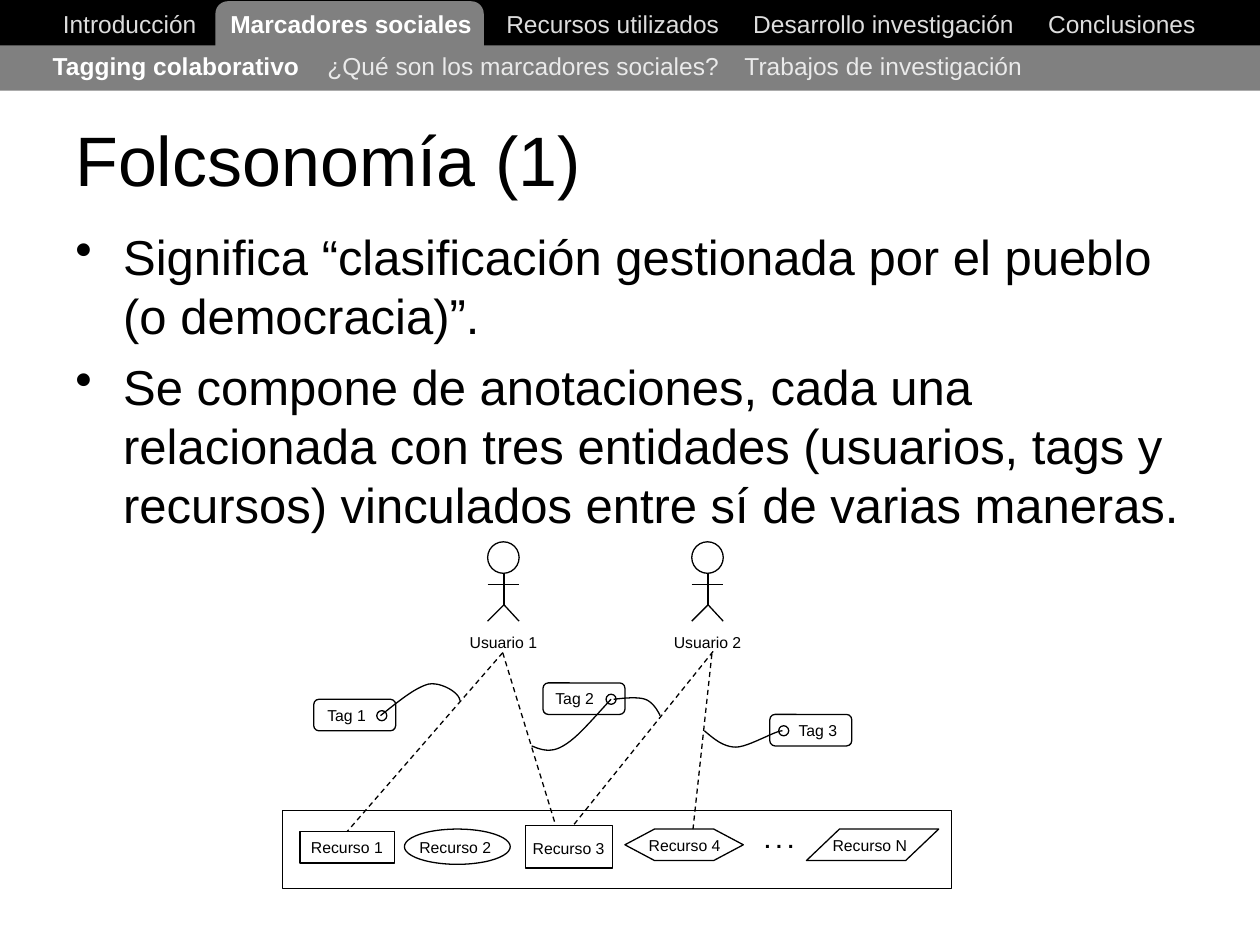
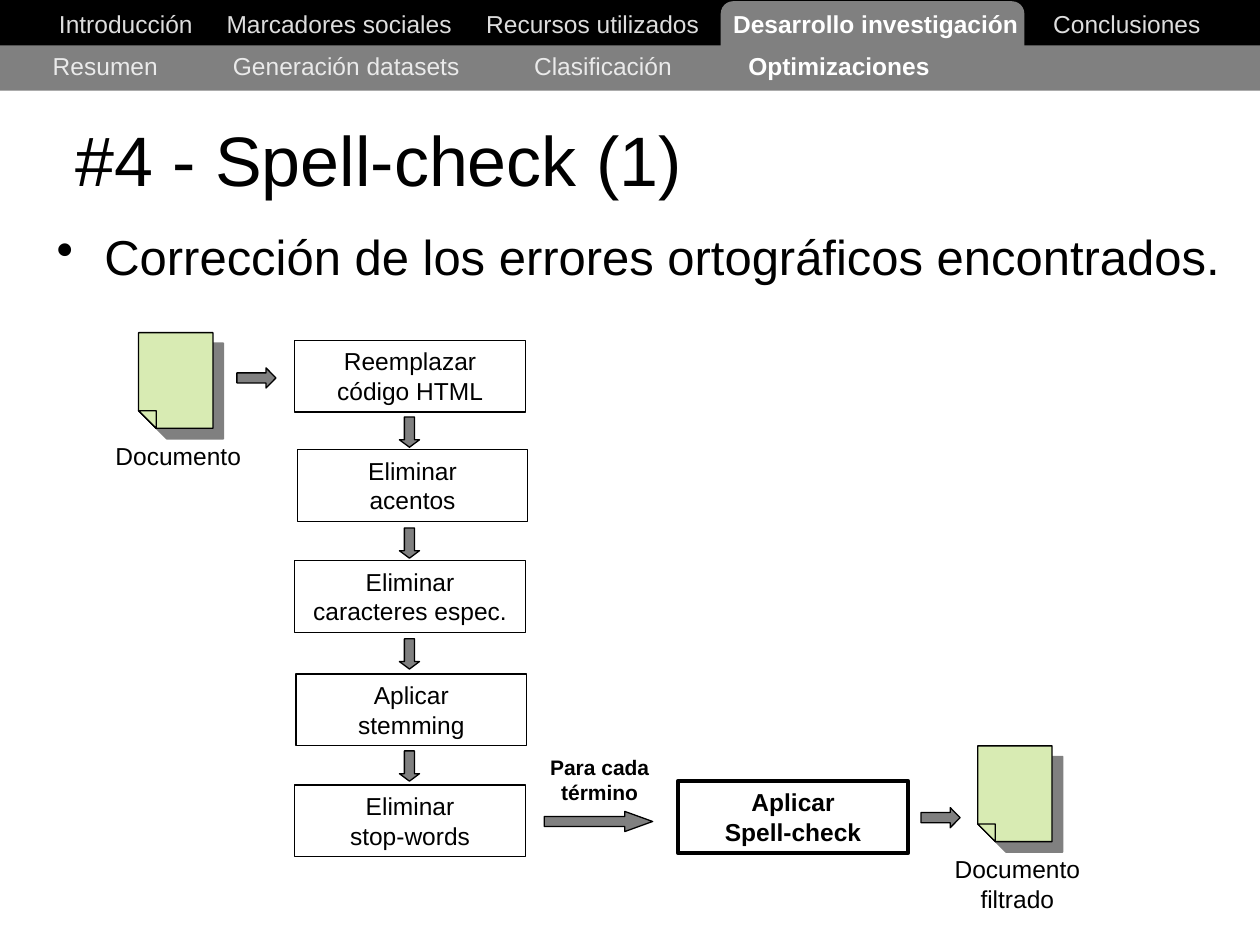
from lxml import etree
from pptx import Presentation
from pptx import util as u
from pptx.dml.color import RGBColor
from pptx.enum import dml, shapes, text
from pptx.oxml import ns

THEME = {
    "font": "Arial",
    "black": "000000", "white": "FFFFFF", "gray": "808080",
    "section": "DDDDDD", "topic": "EAEAEA", "paper": "D8EBB3",
    "title": 40, "body": 28, "label": 14, "note": 12, "small": 9,
    "thin": 0.75, "thick": 2.25,
}
KIND = shapes.MSO_SHAPE
CENTER, LEFT = text.PP_ALIGN.CENTER, text.PP_ALIGN.LEFT
MIDDLE, TOP = text.MSO_ANCHOR.MIDDLE, text.MSO_ANCHOR.TOP


def add_item(slide, kind, box, words=(), size="label", bold=False, align=CENTER,
             anchor=TOP, fill=None, line=None, width="thin", adjust=()):
    """Add a preset shape, or a text box when kind is None.

    words holds one paragraph per entry; a paragraph is a list of
    (wording, colour name, bold) runs or a plain string.
    """
    frame = [u.Inches(value) for value in box]
    if kind is None:
        shape = slide.shapes.add_textbox(*frame)
    else:
        shape = slide.shapes.add_shape(kind, *frame)
        shape.shadow.inherit = False
        for index, value in enumerate(adjust):
            shape.adjustments[index] = value
        for part, colour in ((shape.fill, fill), (shape.line.fill, line)):
            if colour:
                part.solid()
                part.fore_color.rgb = RGBColor.from_string(THEME[colour])
            else:
                part.background()
        if line:
            shape.line.width = u.Pt(THEME[width])
    text_frame = shape.text_frame
    for name, value in {"word_wrap": True, "vertical_anchor": anchor}.items():
        setattr(text_frame, name, value)
    for index, runs in enumerate(words):
        paragraph = text_frame.add_paragraph() if index else text_frame.paragraphs[0]
        paragraph.alignment = align
        if isinstance(runs, str):
            runs = [(runs, "black", bold)]
        for wording, colour, heavy in runs:
            for number, row in enumerate(wording.split("\n")):
                if number:
                    paragraph.add_line_break()
                run = paragraph.add_run()
                run.text = row
                font_format = {"name": THEME["font"], "size": u.Pt(THEME[size]), "bold": heavy}
                for name, value in font_format.items():
                    setattr(run.font, name, value)
                run.font.color.rgb = RGBColor.from_string(THEME[colour])
    return shape


def add_outline(slide, points, fill=None):
    """Draw a polyline, closed and filled when a fill colour is given."""
    points = [(u.Inches(x), u.Inches(y)) for x, y in points]
    builder = slide.shapes.build_freeform(*points[0])
    builder.add_line_segments(points[1:], close=bool(fill))
    outline = builder.convert_to_shape()
    outline.shadow.inherit = False
    if fill:
        outline.fill.solid()
        outline.fill.fore_color.rgb = RGBColor.from_string(THEME[fill])
    else:
        outline.fill.background()
    outline.line.color.rgb = RGBColor.from_string(THEME["black"])
    outline.line.width = u.Pt(THEME["thin"])
    return outline


presentation = Presentation()
presentation.slide_width, presentation.slide_height = u.Inches(10), u.Inches(7.5)

SECTIONS = ["Introducción", "Marcadores sociales", "Recursos utilizados",
            "Desarrollo investigación", "Conclusiones"]
PAGES = [
    {
        "section": 1, "section_stops": [0.5, 1.83, 4.02, 5.98, 8.32],
        "tab": (1.71, 2.13),
        "topics": ["Tagging colaborativo", "¿Qué son los marcadores sociales?",
                   "Trabajos de investigación"],
        "topic": 0, "topic_stops": [0.42, 2.6, 5.91],
        "title": "Folcsonomía (1)", "body_box": (0.5, 1.75, 9, 5.75),
        "bullets": ["Significa “clasificación gestionada por el pueblo (o democracia)”.",
                    "Se compone de anotaciones, cada una relacionada con tres entidades "
                    "(usuarios, tags y recursos) vinculados entre sí de varias maneras."],
    },
    {
        "section": 3, "section_stops": [0.47, 1.8, 3.86, 5.82, 8.36],
        "tab": (5.72, 2.41),
        "topics": ["Resumen", "Generación datasets", "Clasificación", "Optimizaciones"],
        "topic": 3, "topic_stops": [0.42, 1.85, 4.24, 5.94],
        "title": "#4 - Spell-check (1)", "body_box": (0.35, 1.75, 9.65, 5.75),
        "bullets": ["Corrección de los errores ortográficos encontrados."],
    },
]

# Shared frame: navigation bands, title and bullets
slides = []
for page in PAGES:
    slide = presentation.slides.add_slide(presentation.slide_layouts[6])
    slides.append(slide)
    add_item(slide, KIND.RECTANGLE, (0, 0, 10, 0.36), fill="black", line="black")
    tab_left, tab_width = page["tab"]
    add_item(slide, KIND.ROUNDED_RECTANGLE, (tab_left, 0.01, tab_width, 0.59), fill="gray")
    add_item(slide, KIND.RECTANGLE, (0, 0.36, 10, 0.36), fill="gray")
    for names, current, stops, top, colour in (
            (page["topics"], page["topic"], page["topic_stops"], 0.36, "topic"),
            (SECTIONS, page["section"], page["section_stops"], 0.02, "section")):
        runs = [(("\t" if index else "") + name,
                 "white" if index == current else colour, index == current)
                for index, name in enumerate(names)]
        left = stops[0] - 0.1
        menu = add_item(slide, None, (left, top, 10 - left, 0.34), [runs], align=LEFT)
        properties = menu.text_frame.paragraphs[0]._p.get_or_add_pPr()
        tab_list = etree.SubElement(properties, ns.qn("a:tabLst"))
        for stop in stops[1:]:
            etree.SubElement(tab_list, ns.qn("a:tab"),
                             pos=str(u.Inches(stop - stops[0])), algn="l")

    add_item(slide, None, (0.5, 0.79, 9.3, 0.93), [page["title"]], "title",
             align=LEFT, anchor=MIDDLE)
    body = add_item(slide, None, page["body_box"], page["bullets"], "body", align=LEFT)
    for paragraph in body.text_frame.paragraphs:
        paragraph.space_before = u.Pt(7)
        properties = paragraph._p.get_or_add_pPr()
        properties.set("marL", str(u.Inches(0.38)))
        properties.set("indent", str(u.Inches(-0.38)))
        etree.SubElement(properties, ns.qn("a:buChar"), char="•")

# Folksonomy diagram: resources
folksonomy, spelling = slides
outlined = {"fill": "white", "line": "black"}
add_item(folksonomy, KIND.RECTANGLE, (2.24, 6.43, 5.31, 0.62), **outlined)
RESOURCES = [
    ("Recurso N", KIND.PARALLELOGRAM, (6.4, 6.58, 1.05, 0.25), (6.51, 6.58), [1.05]),
    ("Recurso 1", KIND.RECTANGLE, (2.38, 6.6, 0.75, 0.25), (2.37, 6.6), []),
    ("Recurso 3", KIND.RECTANGLE, (4.17, 6.55, 0.69, 0.34), (4.13, 6.61), []),
    ("Recurso 4", KIND.HEXAGON, (4.96, 6.58, 0.94, 0.25), (5.05, 6.58), [0.94]),
    ("Recurso 2", KIND.OVAL, (3.21, 6.58, 0.84, 0.28), (3.23, 6.6), []),
]
resource_shapes = {}
for name, kind, box, corner, adjust in RESOURCES:
    resource_shapes[name] = add_item(folksonomy, kind, box, adjust=adjust, **outlined)
    add_item(folksonomy, None, (*corner, 0.84, 0.31), [name], "small", align=LEFT)
add_item(folksonomy, None, (5.97, 6.52, 0.5, 0.34), [". . ."], "note", bold=True, align=LEFT)

# Users as stick figures, then their dashed links to resources
links = []
for name, x in (("Usuario 1", 4), ("Usuario 2", 5.62)):
    add_item(folksonomy, KIND.OVAL, (x - 0.13, 4.3, 0.25, 0.25), **outlined)
    add_item(folksonomy, None, (x - 0.38, 4.97, 0.75, 0.25), [name], "small")
    links += [((x, 4.55), (x, 4.8), False, None),
              ((x - 0.13, 4.64), (x + 0.12, 4.64), False, None),
              ((x - 0.13, 4.93), (x, 4.8), False, None),
              ((x, 4.8), (x + 0.12, 4.93), False, None)]
links += [((3.99, 5.18), (2.75, 6.6), True, "Recurso 1"),
          ((3.99, 5.18), (4.41, 6.55), True, None),
          ((5.66, 5.17), (4.55, 6.55), True, None),
          ((5.65, 5.19), (5.5, 6.58), True, None)]
for start, end, dashed, target in links:
    connector = folksonomy.shapes.add_connector(
        shapes.MSO_CONNECTOR.STRAIGHT, *[u.Inches(value) for value in start + end])
    if target:
        connector.end_connect(resource_shapes[target], 0)
    connector.line.color.rgb = RGBColor.from_string(THEME["black"])
    connector.line.width = u.Pt(THEME["thin"])
    if dashed:
        connector.line.dash_style = dml.MSO_LINE.DASH
    etree.SubElement(connector._element.spPr, ns.qn("a:effectLst"))

# Tags with their holes
for name, left, top, hole, indent in (("Tag 1", 2.49, 5.55, 0.5, 0.01),
                                      ("Tag 2", 4.31, 5.42, 0.5, 0),
                                      ("Tag 3", 6.11, 5.67, 0.07, 0.13)):
    add_item(folksonomy, KIND.ROUNDED_RECTANGLE, (left, top, 0.65, 0.25), **outlined)
    add_item(folksonomy, KIND.OVAL, (left + hole, top + 0.09, 0.08, 0.08), **outlined)
    add_item(folksonomy, None, (left + indent, top, 0.56, 0.27), [name], "small", align=LEFT)

# Tag strings: two cubic curves each, sampled in equal steps
STRINGS = [
    [(3.02, 5.68), (3.16, 5.57), (3.29, 5.46), (3.4, 5.43), (3.5, 5.41), (3.65, 5.5), (3.65, 5.56)],
    [(4.85, 5.55), (4.71, 5.7), (4.58, 5.86), (4.47, 5.92), (4.37, 5.98), (4.29, 5.95), (4.22, 5.92)],
    [(4.87, 5.55), (4.96, 5.54), (5.06, 5.53), (5.12, 5.55), (5.18, 5.57), (5.22, 5.64), (5.24, 5.68)],
    [(5.59, 5.8), (5.66, 5.86), (5.74, 5.93), (5.84, 5.93), (5.94, 5.93), (6.15, 5.8), (6.21, 5.8)],
]
STEPS = 12
for controls in STRINGS:
    points = [controls[0]]
    for first in (0, 3):
        for step in range(1, STEPS + 1):
            t = step / STEPS
            weights = ((1 - t) ** 3, 3 * t * (1 - t) ** 2, 3 * t ** 2 * (1 - t), t ** 3)
            points.append(tuple(
                sum(weight * point[axis]
                    for weight, point in zip(weights, controls[first:first + 4]))
                for axis in (0, 1)))
    add_outline(folksonomy, points)

# Cleaning steps, top to bottom, with arrows between
STAGES = [("Reemplazar código HTML", 2.34, 2.7), ("Eliminar\nacentos", 2.36, 3.57),
          ("Eliminar caracteres espec.", 2.34, 4.45), ("Aplicar\nstemming", 2.35, 5.35),
          ("Eliminar\nstop-words", 2.34, 6.23)]
for name, left, top in STAGES:
    add_item(spelling, KIND.RECTANGLE, (left, top, 1.83, 0.57), [name], line="black")
arrow_format = {"fill": "gray", "line": "black"}
for top in (3.31, 4.19, 5.07, 5.96):
    add_item(spelling, KIND.DOWN_ARROW, (3.17, top, 0.16, 0.24), adjust=[0.5, 0.37], **arrow_format)

# Input and output documents: sheet with a shadow and a folded corner
for name, left, top, label_height in (("Documento", 1.1, 2.64, 0.34),
                                      ("Documento\nfiltrado", 7.76, 5.92, 0.57)):
    add_item(spelling, None, (left - 0.35, top + 0.81, 1.33, label_height), [name])
    right, bottom, fold = left + 0.59, top + 0.76, 0.14
    sheet = add_outline(spelling, [(left, top), (right, top), (right, bottom),
                                   (left + fold, bottom), (left, bottom - fold)], "paper")
    effects = sheet._element.spPr.find(ns.qn("a:effectLst"))
    shadow = etree.SubElement(effects, ns.qn("a:outerShdw"), dist=str(u.Pt(8.5)),
                              dir="2700000", algn="ctr", rotWithShape="0")
    etree.SubElement(shadow, ns.qn("a:srgbClr"), val=THEME["gray"])
    add_outline(spelling, [(left, bottom - fold), (left + fold, bottom - fold),
                           (left + fold, bottom)], "paper")

# Spell-check step and horizontal arrows
add_item(spelling, KIND.RECTANGLE, (5.38, 6.2, 1.83, 0.57), ["Aplicar\nSpell-check"],
         bold=True, line="black", width="thick")
for left, top, width, head in ((1.88, 2.92, 0.31, 0.49), (7.31, 6.41, 0.31, 0.49),
                               (4.32, 6.44, 0.86, 1.38)):
    add_item(spelling, KIND.RIGHT_ARROW, (left, top, width, 0.16), adjust=[0.5, head], **arrow_format)
add_item(spelling, None, (4.08, 5.94, 1.36, 0.5), ["Para cada término"], "note", bold=True)

presentation.save("out.pptx")
